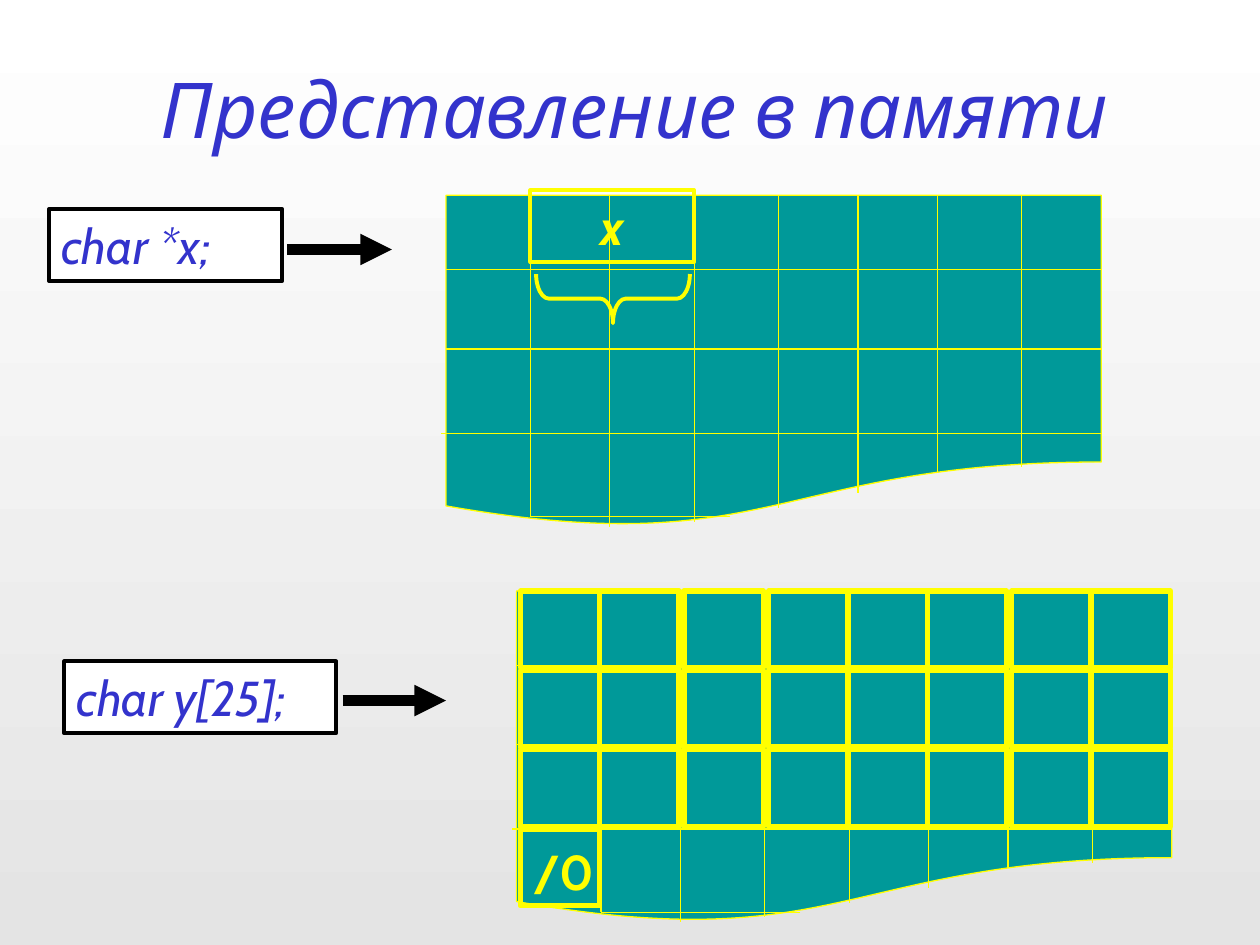
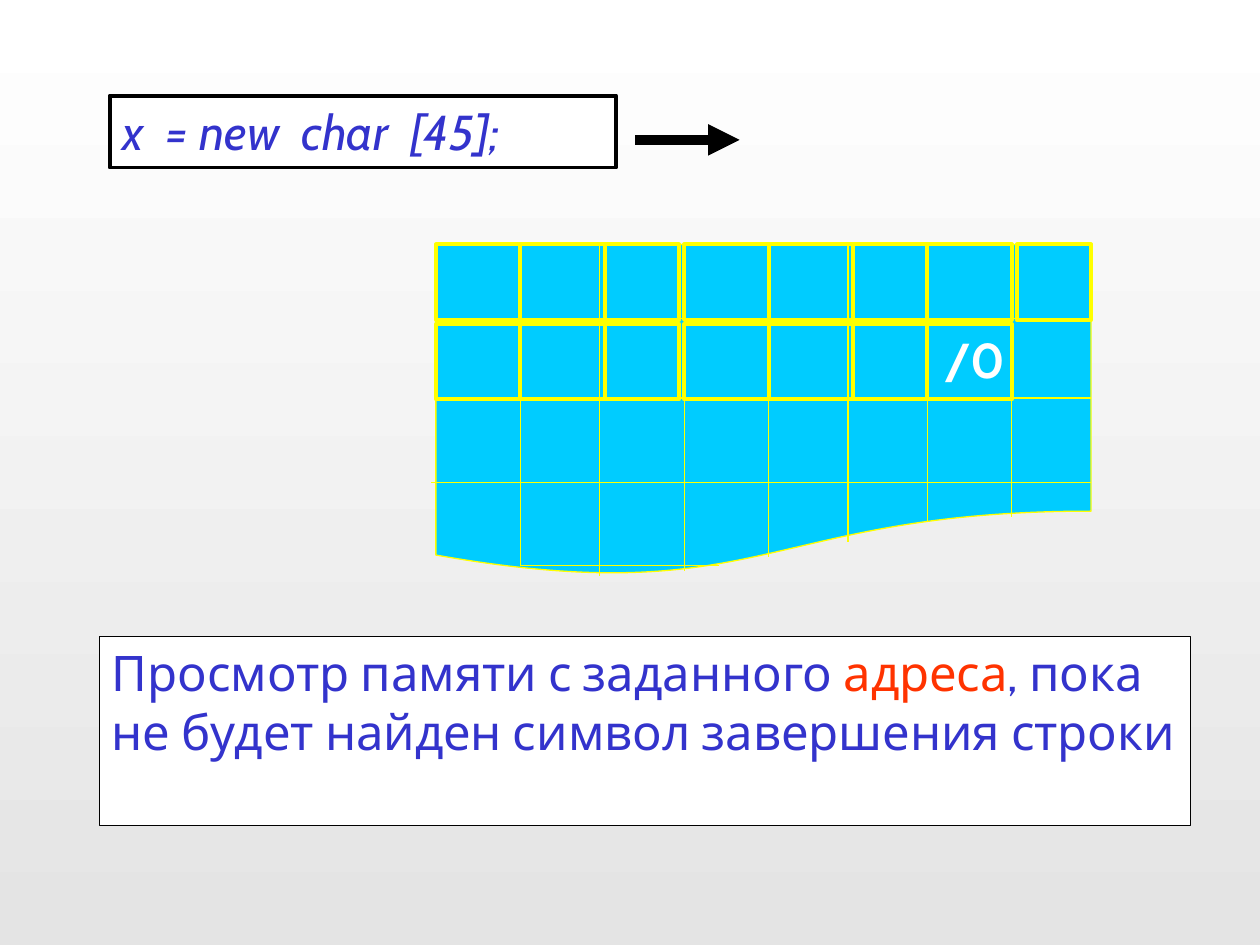
from lxml.etree import SubElement
from pptx import Presentation
from pptx.dml.color import RGBColor as RGB
from pptx.enum.shapes import MSO_CONNECTOR as CONN, MSO_SHAPE as SHAPE
from pptx.enum.text import MSO_ANCHOR as ANCHOR, PP_ALIGN as ALIGN
from pptx.oxml.ns import qn
from pptx.util import Pt

PX = 9144
COLORS = {
    "top": "FFFFFF", "bottom": "E4E4E4", "blue": "3333CC", "red": "FF3300",
    "yellow": "FFFF00", "teal": "009999", "sky": "00CCFF",
    "white": "FFFFFF", "black": "000000",
}
CODE = {"name": "Cabin", "size": Pt(28), "italic": True}
TITLE = {**CODE, "size": Pt(44)}
MARK = {**CODE, "italic": False, "bold": True}
VARIABLE = {**MARK, "italic": True}
NOTE = {**CODE, "italic": False}

COLUMNS = [(67, 255), (130, 263), (197, 259), (264, 248), (327, 236), (390, 220), (457, 216)]
ROWS = [(0, 520, 59), (0, 520, 122), (-4, 520, 189), (67, 225, 255)]
ARRAY_CELLS = [(x, 63) for x in (0, 63, 130, 197, 260, 323, 390, 453)]
STRING_CELLS = [(0, 67), (67, 67), (134, 59), (197, 67), (264, 67), (331, 59), (390, 67), (461, 59)]


def rgb(name):
    """Return the named colour."""
    return RGB.from_string(COLORS[name])


def emu(*lengths):
    """Turn px lengths into EMU."""
    return [n * PX for n in lengths]


def set_background(master):
    """Give all slides the vertical gradient."""
    fill = master.background.fill
    fill.gradient()
    fill.gradient_angle = 270
    for stop, name, position in zip(fill.gradient_stops, ("top", "bottom"), (0, 1)):
        stop.color.rgb = rgb(name)
        stop.position = position


def add_text(sp, runs, fmt, align=ALIGN.LEFT):
    """Write (text, colour) runs into a shape."""
    tf = sp.text_frame
    tf.word_wrap = True
    tf.vertical_anchor = ANCHOR.TOP
    p = tf.paragraphs[0]
    p.alignment = align
    for text, color in runs:
        r = p.add_run()
        r.text = text
        for key, value in fmt.items():
            setattr(r.font, key, value)
        r.font.color.rgb = rgb(color)


def add_label(s, box, text, color, fmt):
    """Add a centred text box."""
    add_text(s.shapes.add_textbox(*emu(*box)), [(text, color)], fmt, ALIGN.CENTER)


def add_outline(shapes, kind, box, color, width, fill=None):
    """Add a preset shape with a line and an optional fill."""
    sp = shapes.add_shape(kind, *emu(*box))
    sp.shadow.inherit = False
    if fill:
        sp.fill.solid()
        sp.fill.fore_color.rgb = rgb(fill)
    else:
        sp.fill.background()
    sp.line.color.rgb = rgb(color)
    sp.line.width = Pt(width)
    return sp


def add_line(shapes, ends, color, width):
    """Add a straight line without a shadow."""
    line = shapes.add_connector(CONN.STRAIGHT, *emu(*ends))
    line.line.color.rgb = rgb(color)
    line.line.width = Pt(width)
    SubElement(line._element.spPr, qn("a:effectLst"))
    return line


def add_arrow(s, left, right, y):
    """Add a thick black arrow pointing right."""
    arrow = add_line(s.shapes, (left, y, right, y), "black", 6)
    SubElement(arrow.line._get_or_add_ln(), qn("a:tailEnd"), type="triangle")


def add_code(s, box, text):
    """Add a framed line of code."""
    sp = add_outline(s.shapes, SHAPE.RECTANGLE, box, "black", 2.25, "white")
    add_text(sp, [(text, "blue")], CODE)


def add_memory(s, left, top, fill):
    """Add a grouped memory sheet with its thin grid."""
    shapes = s.shapes.add_group_shape().shapes
    add_outline(shapes, SHAPE.FLOWCHART_DOCUMENT, (left, top, 520, 264), "yellow", 0.75, fill)
    for x, depth in COLUMNS:
        add_line(shapes, (left + x, top, left + x, top + depth), "yellow", 0.75)
    for start, end, y in ROWS:
        add_line(shapes, (left + end, top + y, left + start, top + y), "yellow", 0.75)


def add_cells(s, left, top, cells, height, width):
    """Outline one row of occupied cells."""
    for x, w in cells:
        add_outline(s.shapes, SHAPE.RECTANGLE, (left + x, top, w, height), "yellow", width)


def build_layout_slide(s):
    """Show how a pointer and an array lie in memory."""
    add_label(s, (51, 44, 906, 84), "Представление в памяти", "blue", TITLE)
    add_code(s, (39, 166, 185, 57), "char *x;")
    add_arrow(s, 228, 311, 198)
    add_memory(s, 354, 155, "teal")
    add_memory(s, 410, 469, "teal")
    brace = add_outline(s.shapes, SHAPE.LEFT_BRACE, (467, 176, 39, 122), "yellow", 2.25)
    brace.rotation = 270
    brace.adjustments[0] = 0.26
    pointer = add_outline(s.shapes, SHAPE.RECTANGLE, (421, 151, 130, 57), "yellow", 2.25)
    add_text(pointer, [("x", "yellow")], VARIABLE, ALIGN.CENTER)
    add_code(s, (51, 525, 216, 57), "char y[25];")
    add_arrow(s, 272, 354, 556)
    for row, count in enumerate((8, 8, 8, 1)):
        add_cells(s, 413, 469 + 63 * row, ARRAY_CELLS[:count], 61, 3)
    add_label(s, (402, 663, 91, 57), "/0", "yellow", MARK)


def build_string_slide(s):
    """Show an allocated string and its terminator."""
    add_code(s, (87, 76, 402, 57), "x  = new  char  [45];")
    add_arrow(s, 504, 587, 111)
    add_memory(s, 346, 194, "sky")
    for row, count in enumerate((8, 7)):
        add_cells(s, 346, 194 + 63 * row, STRING_CELLS[:count], 60, 2.25)
    add_label(s, (689, 257, 169, 57), "/0", "white", MARK)
    note = add_outline(s.shapes, SHAPE.RECTANGLE, (79, 505, 866, 150), "black", 0.75, "white")
    add_text(note, [
        ("Просмотр памяти с заданного ", "blue"),
        ("адреса", "red"),
        (", пока не будет найден символ завершения строки", "blue"),
    ], NOTE)


def main():
    """Build and save the slides."""
    prs = Presentation()
    prs.slide_width, prs.slide_height = emu(1000, 750)
    set_background(prs.slide_master)
    for build in (build_layout_slide, build_string_slide):
        build(prs.slides.add_slide(prs.slide_layouts[6]))
    prs.save("out.pptx")


if __name__ == "__main__":
    main()
